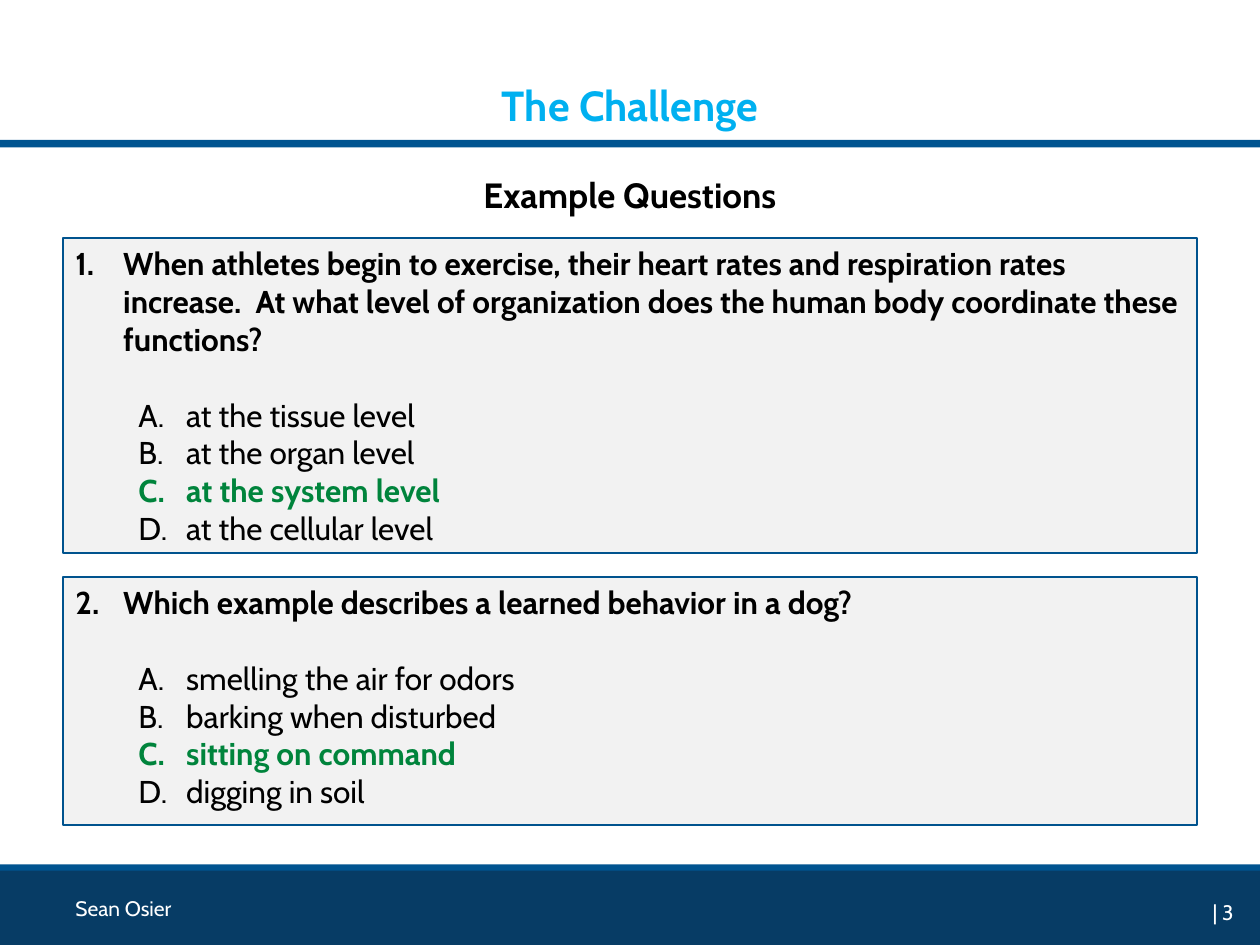
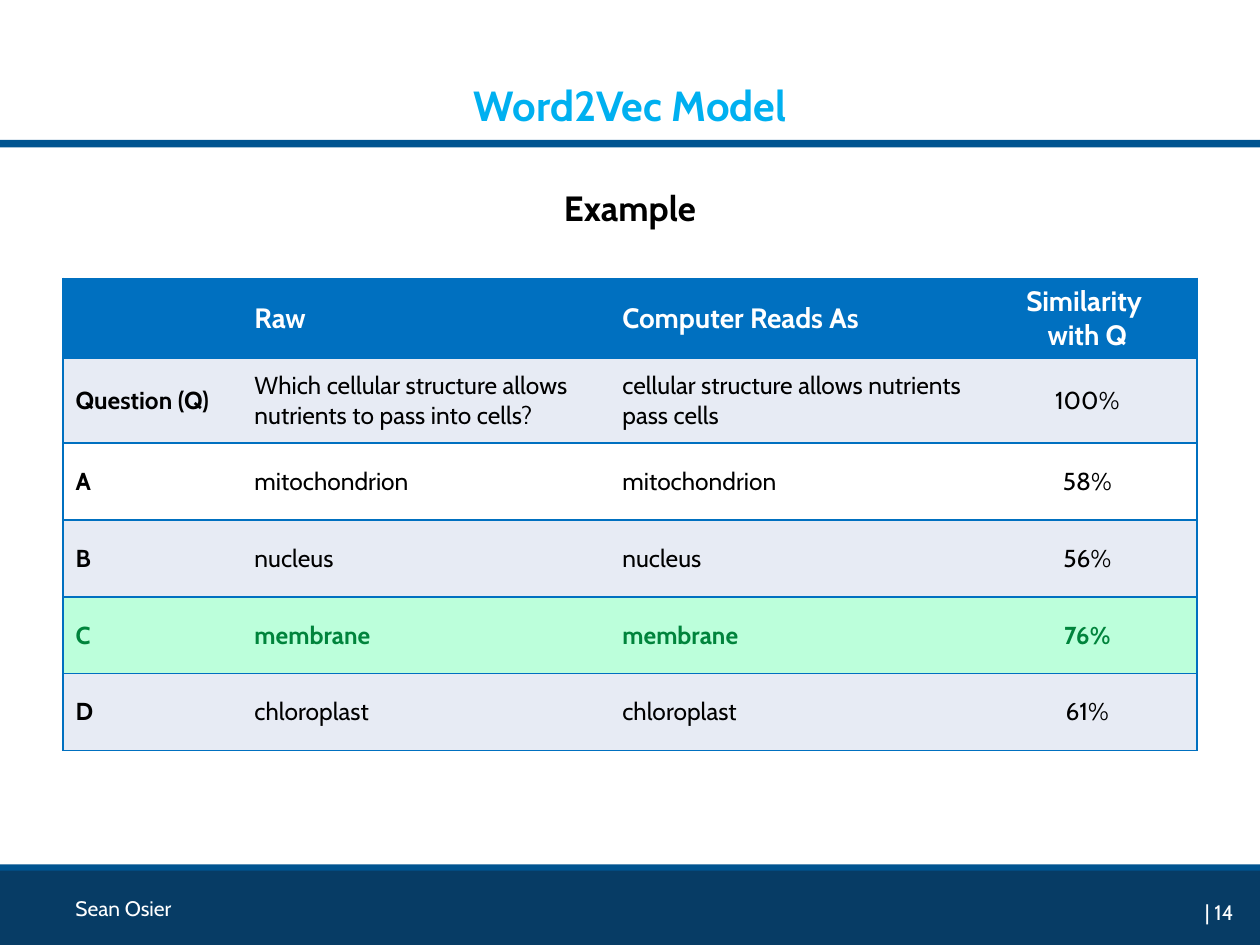
from lxml import etree
from pptx import Presentation, util as u
from pptx.dml.color import RGBColor
from pptx.enum import shapes, text
from pptx.oxml.ns import qn

FONT = "Cabin"
WHITE = RGBColor(0xFF, 0xFF, 0xFF)
BLACK = RGBColor(0x00, 0x00, 0x00)
TITLE_BLUE = RGBColor(0x00, 0xB0, 0xF0)
BAND_BLUE = RGBColor(0x00, 0x54, 0x90)
FOOTER_NAVY = RGBColor(0x07, 0x3C, 0x65)
BOX_LINE = RGBColor(0x00, 0x53, 0x8E)
BOX_GREY = RGBColor(0xF2, 0xF2, 0xF2)
TABLE_BLUE = RGBColor(0x00, 0x70, 0xC0)
STRIPE = RGBColor(0xE7, 0xEB, 0xF4)
ANSWER_GREEN = RGBColor(0x00, 0x84, 0x3C)
ANSWER_FILL = RGBColor(0xBC, 0xFF, 0xDB)
NO_STYLE_TABLE = "{2D5ABB26-0587-4C30-8999-92F81FD0307C}"

AUTHOR = "Sean Osier"
# Each question: text, options, index of the right one, top and height of its box
QUESTIONS = [
    ("When athletes begin to exercise, their heart rates and respiration rates increase.  "
     "At what level of organization does the human body coordinate these functions?",
     ["at the tissue level", "at the organ level", "at the system level",
      "at the cellular level"], 2, 1.89, 2.5),
    ("Which example describes a learned behavior in a dog?",
     ["smelling the air for odors", "barking when disturbed", "sitting on command",
      "digging in soil"], 2, 4.58, 1.97),
]
SIMILARITY = [
    ("", "Raw", "Computer Reads As", "Similarity \vwith Q"),
    ("Question (Q)", "Which cellular structure allows nutrients to pass into cells?",
     "cellular structure allows nutrients pass cells", "100%"),
    ("A", "mitochondrion", "mitochondrion", "58%"),
    ("B", "nucleus", "nucleus", "56%"),
    ("C", "membrane", "membrane", "76%"),
    ("D", "chloroplast", "chloroplast", "61%"),
]
ANSWER_ROW = 4

WIDTH, HEIGHT = 10, 7.5
MARGIN = 0.5
CONTENT_WIDTH = WIDTH - 2 * MARGIN
COLUMN_WIDTHS = [1.42, 2.92, 2.92, 1.74]
ROW_HEIGHTS = [0.61, 0.67] + [0.61] * 4
BANDS = [(6.86, 0.59, BAND_BLUE), (6.91, 0.59, FOOTER_NAVY), (1.11, 0.06, BAND_BLUE)]
LEFT, CENTER, RIGHT = text.PP_ALIGN.LEFT, text.PP_ALIGN.CENTER, text.PP_ALIGN.RIGHT
MIDDLE, BOTTOM = text.MSO_ANCHOR.MIDDLE, text.MSO_ANCHOR.BOTTOM


def inches(*lengths):
    return [u.Inches(length) for length in lengths]


def format_paragraph(paragraph, size, color, bold=False, align=LEFT):
    paragraph.alignment = align
    font = paragraph.font
    font.name, font.size, font.bold = FONT, u.Pt(size), bold
    font.color.rgb = color


def write(frame, words, anchor, *style):
    frame.word_wrap = True
    frame.auto_size = text.MSO_AUTO_SIZE.NONE
    frame.vertical_anchor = anchor
    frame.text = words
    format_paragraph(frame.paragraphs[0], *style)


def add_text(slide, box, *content):
    write(slide.shapes.add_textbox(*inches(*box)).text_frame, *content)


def add_rectangle(slide, box, fill, line=None):
    shape = slide.shapes.add_shape(shapes.MSO_SHAPE.RECTANGLE, *inches(*box))
    shape.shadow.inherit = False
    shape.fill.solid()
    shape.fill.fore_color.rgb = fill
    if line is None:
        shape.line.fill.background()
    else:
        shape.line.color.rgb = line
        shape.line.width = u.Pt(1)
    return shape


def add_slide(presentation, title, subtitle, subtitle_top, number):
    """Add a slide with the shared bands, footer, title and subtitle."""
    slide = presentation.slides.add_slide(presentation.slide_layouts[5])
    for top, height, color in BANDS:
        add_rectangle(slide, (0, top, WIDTH, height), color)
    add_text(slide, (MARGIN, 7.08, 1.4, 0.25), AUTHOR, MIDDLE, 12, WHITE)
    add_text(slide, (9.33, 6.99, 0.56, 0.4), f"| {number}", BOTTOM, 12, WHITE, False, RIGHT)
    heading = slide.shapes.title
    heading.left, heading.top, heading.width, heading.height = inches(0.05, 0.25, 9.9, 0.83)
    write(heading.text_frame, title, BOTTOM, 24, TITLE_BLUE, True, CENTER)
    add_text(slide, (MARGIN, subtitle_top, CONTENT_WIDTH, 0.43), subtitle, BOTTOM,
             20, BLACK, True, CENTER)
    return slide


def number_paragraph(paragraph, scheme, indent, start=1):
    """Give the paragraph an automatic number hanging left of its indent."""
    properties = paragraph._p.get_or_add_pPr()
    properties.set("marL", str(u.Inches(indent)))
    properties.set("indent", str(u.Inches(-0.38)))
    bullet_font = etree.SubElement(properties, qn("a:buFont"))
    bullet_font.set("typeface", "+mj-lt")
    numbering = etree.SubElement(properties, qn("a:buAutoNum"))
    numbering.set("type", scheme)
    if start > 1:
        numbering.set("startAt", str(start))


def add_question(slide, number, question, options, answer, top, height):
    box = add_rectangle(slide, (MARGIN, top, CONTENT_WIDTH, height), BOX_GREY, BOX_LINE)
    frame = box.text_frame
    write(frame, question, text.MSO_ANCHOR.TOP, 18, BLACK, True)
    frame.paragraphs[0].space_after = u.Pt(21.6)
    number_paragraph(frame.paragraphs[0], "arabicPeriod", 0.38, number)
    for index, option in enumerate(options):
        paragraph = frame.add_paragraph()
        paragraph.text = option
        paragraph.level = 1
        right = index == answer
        format_paragraph(paragraph, 18, ANSWER_GREEN if right else BLACK, right)
        number_paragraph(paragraph, "alphaUcPeriod", 0.88)


def add_borders(cell, sides):
    for side in sides:
        line = etree.SubElement(cell._tc.get_or_add_tcPr(), qn(f"a:ln{side}"))
        line.set("w", str(u.Pt(1)))
        fill = etree.SubElement(line, qn("a:solidFill"))
        etree.SubElement(fill, qn("a:srgbClr")).set("val", str(TABLE_BLUE))


def row_style(row):
    """Return fill, text colour and text size of a table row."""
    if row == 0:
        return TABLE_BLUE, WHITE, 16
    if row == ANSWER_ROW:
        return ANSWER_FILL, ANSWER_GREEN, 14
    return (STRIPE if row % 2 else WHITE), BLACK, 14


def add_similarity_table(slide, top):
    last = len(COLUMN_WIDTHS) - 1
    table = slide.shapes.add_table(
        len(SIMILARITY), len(COLUMN_WIDTHS),
        *inches(MARGIN, top, CONTENT_WIDTH, sum(ROW_HEIGHTS))).table
    table._tbl.tblPr.find(qn("a:tableStyleId")).text = NO_STYLE_TABLE
    table.horz_banding = False
    for column, width in zip(table.columns, COLUMN_WIDTHS):
        column.width = u.Inches(width)
    for row, values in enumerate(SIMILARITY):
        table.rows[row].height = u.Inches(ROW_HEIGHTS[row])
        fill, color, size = row_style(row)
        for column, value in enumerate(values):
            cell = table.cell(row, column)
            cell.vertical_anchor = MIDDLE
            cell.text = value
            bold = row in (0, ANSWER_ROW) or column == 0
            format_paragraph(cell.text_frame.paragraphs[0], size, color, bold,
                             CENTER if column == last else LEFT)
            add_borders(cell, {0: "LTB", last: "RTB"}.get(column, "TB"))
            cell.fill.solid()
            cell.fill.fore_color.rgb = fill


def main():
    presentation = Presentation()
    presentation.slide_width, presentation.slide_height = inches(WIDTH, HEIGHT)
    challenge = add_slide(presentation, "The Challenge", "Example Questions", 1.33, 3)
    for number, question in enumerate(QUESTIONS, 1):
        add_question(challenge, number, *question)
    model = add_slide(presentation, "Word2Vec Model", "Example", 1.43, 14)
    add_similarity_table(model, 2.21)
    presentation.save("out.pptx")


if __name__ == "__main__":
    main()
